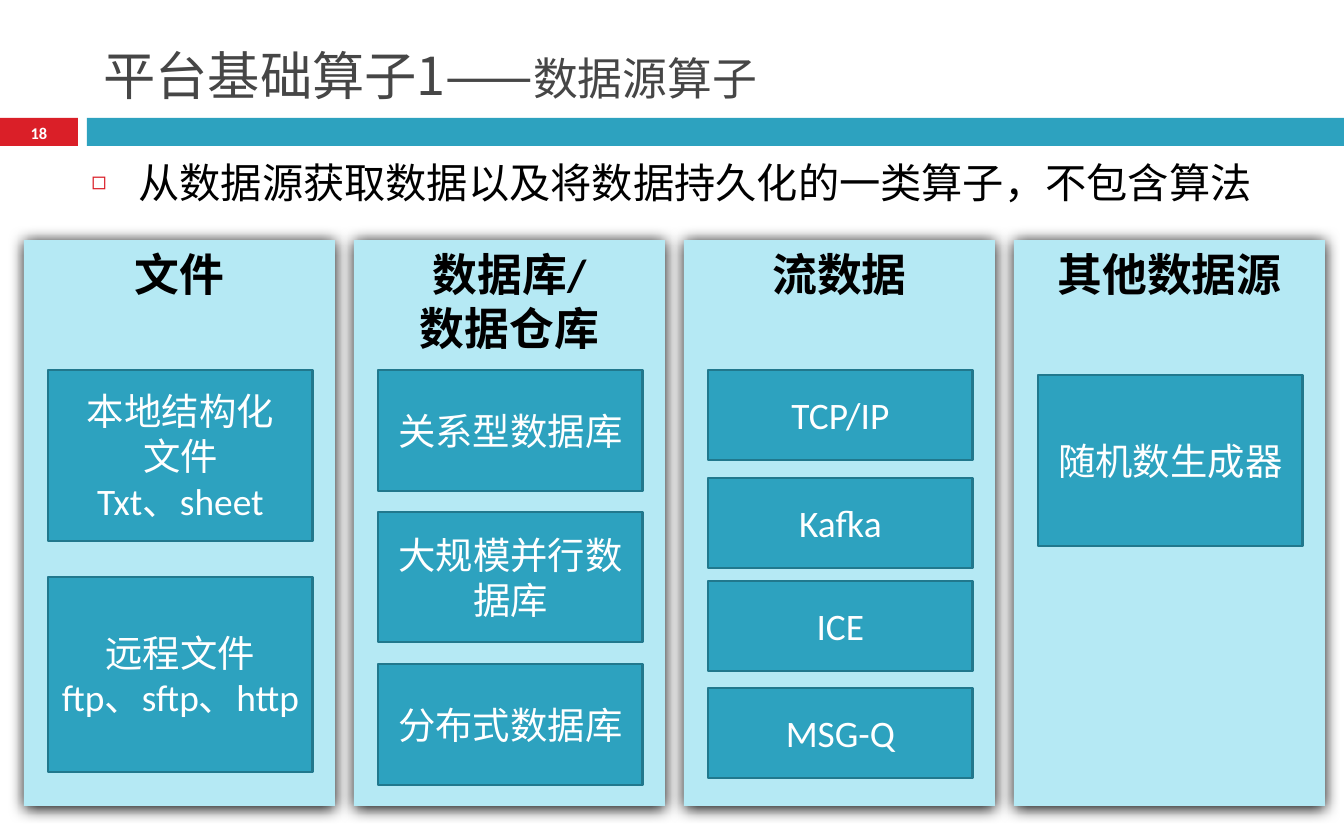
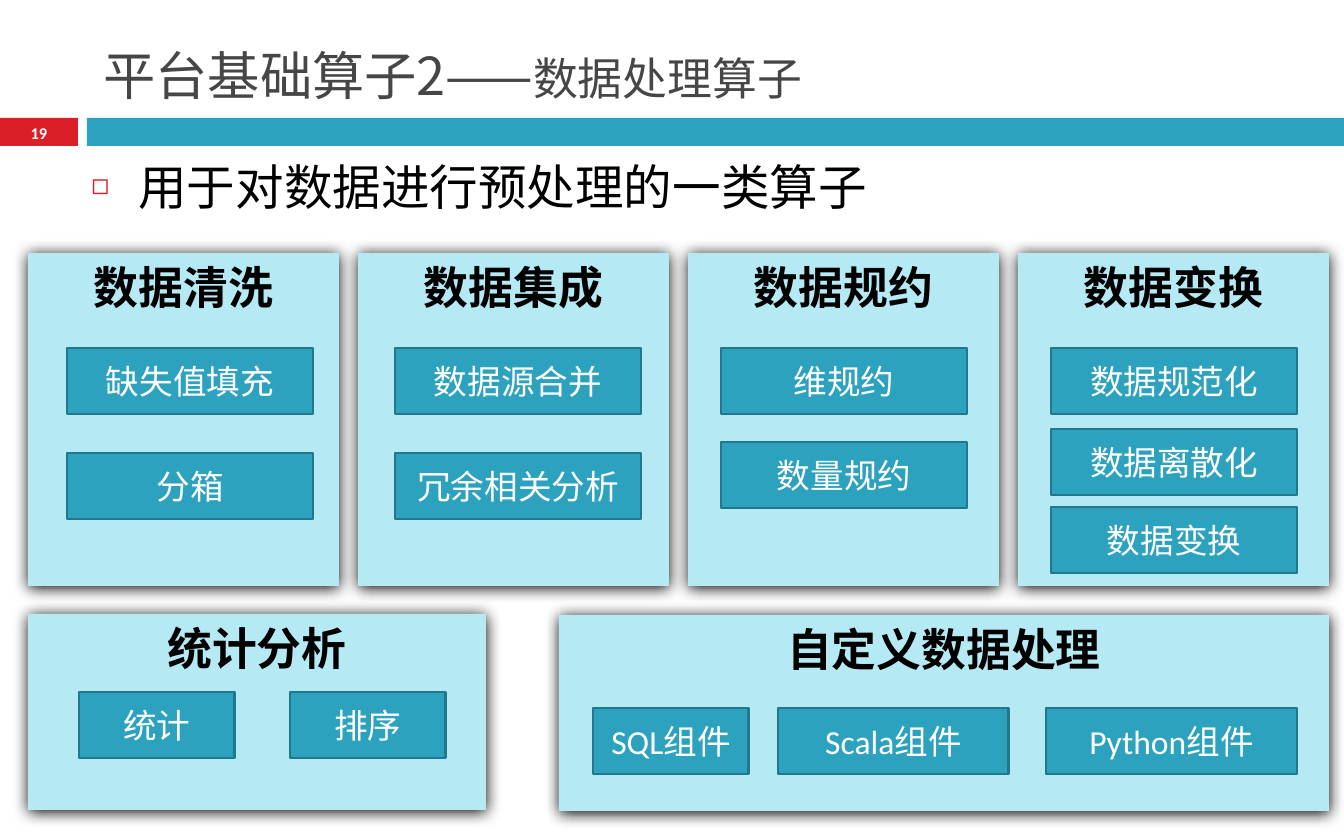
from lxml import etree
from pptx import Presentation
from pptx import util as u
from pptx.dml.color import RGBColor
from pptx.enum import shapes, text
from pptx.oxml.ns import qn

RED = RGBColor(0xDA, 0x1F, 0x28)
TEAL = RGBColor(0x2D, 0xA2, 0xBF)
DARK_TEAL = RGBColor(0x21, 0x78, 0x8D)
PALE_TEAL = RGBColor(0xB5, 0xE9, 0xF4)
GREY = RGBColor(0x46, 0x46, 0x46)
BLACK = RGBColor(0, 0, 0)
WHITE = RGBColor(0xFF, 0xFF, 0xFF)
LATIN_FONT = "Calibri"
CHINESE_FONT = "Noto Sans CJK SC"

PX_PER_INCH = 134.4
SLIDE_SIZE = (1344, 840)
TITLE_BOX = (90, 19, 1199, 94)
BODY_BOX = (78, 150, 1199, 77)
NUMBER_BOX = (0, 118, 78, 29)
BANDS = [((0, 118, 78, 28), RED), ((87, 118, 1257, 28), TEAL)]
BULLET_INDENT = 47
COLUMN_PITCH, COLUMN_WIDTH = 330, 311

SOURCE_COLUMNS = [
    ("文件", 24, [(370, 171, "本地结构化\n文件\nTxt、sheet"), (577, 195, "远程文件\nftp、sftp、http")]),
    ("数据库/\n数据仓库", 24, [(370, 121, "关系型数据库"), (512, 130, "大规模并行数据库"),
                        (664, 121, "分布式数据库")]),
    ("流数据", 24, [(370, 90, "TCP/IP"), (478, 90, "Kafka"), (581, 90, "ICE"), (688, 90, "MSG-Q")]),
    ("其他数据源", 24, [(375, 171, "随机数生成器")]),
]
PROCESS_COLUMNS = [
    ("数据清洗", 39, [(348, 66, "缺失值填充"), (453, 66, "分箱")]),
    ("数据集成", 37, [(348, 66, "数据源合并"), (453, 66, "冗余相关分析")]),
    ("数据规约", 33, [(348, 66, "维规约"), (442, 66, "数量规约")]),
    ("数据变换", 33, [(348, 66, "数据规范化"), (429, 66, "数据离散化"), (507, 66, "数据变换")]),
]
PROCESS_ROW = [
    ("统计分析", (28, 614, 458, 196),
     [((79, 692, 156, 66), "统计"), ((290, 692, 156, 66), "排序")]),
    ("自定义数据处理", (559, 615, 770, 196),
     [((593, 708, 156, 66), "SQL组件"), ((778, 708, 231, 66), "Scala组件"),
      ((1046, 708, 251, 66), "Python组件")]),
]


def column_cards(columns, left, top, height, item_width):
    cards = []
    for index, (heading, inset, items) in enumerate(columns):
        card_left = left + index * COLUMN_PITCH
        boxes = [((card_left + inset, item_top, item_width, item_height), label)
                 for item_top, item_height, label in items]
        cards.append((heading, (card_left, top, COLUMN_WIDTH, height), boxes))
    return cards


SLIDES = [
    dict(number="18", title="平台基础算子1——", subtitle="数据源算子",
         body="从数据源获取数据以及将数据持久化的一类算子，不包含算法", body_size=22.1, item_size=20,
         cards=column_cards(SOURCE_COLUMNS, 24, 240, 566, 265)),
    dict(number="19", title="平台基础算子2——", subtitle="数据处理算子",
         body="用于对数据进行预处理的一类算子", body_size=26, item_size=18,
         cards=column_cards(PROCESS_COLUMNS, 28, 253, 333, 246) + PROCESS_ROW),
]


def px(length):
    return u.Emu(round(length * 914400 / PX_PER_INCH))


def place(shape, box):
    shape.left, shape.top, shape.width, shape.height = map(px, box)


def add_text(paragraph, words, size, color, font=LATIN_FONT, bold=False, align=text.PP_ALIGN.CENTER):
    paragraph.alignment = align
    run = paragraph.add_run()
    run.text = words
    run.font.size = u.Pt(size)
    run.font.bold = bold
    run.font.color.rgb = color
    run.font.name = font
    etree.SubElement(run._r.get_or_add_rPr(), qn("a:ea"), typeface=CHINESE_FONT)


def set_frame(shape, anchor):
    frame = shape.text_frame
    frame.word_wrap = True
    frame.auto_size = text.MSO_AUTO_SIZE.NONE
    frame.vertical_anchor = anchor
    return frame


def add_lines(shape, words, anchor=text.MSO_ANCHOR.MIDDLE, **style):
    frame = set_frame(shape, anchor)
    for index, line in enumerate(words.split("\n")):
        paragraph = frame.add_paragraph() if index else frame.paragraphs[0]
        add_text(paragraph, line, **style)


def add_box(slide, box, fill, line=None):
    shape = slide.shapes.add_shape(shapes.MSO_SHAPE.RECTANGLE, *map(px, box))
    shape.shadow.inherit = False
    shape.fill.solid()
    shape.fill.fore_color.rgb = fill
    if line is None:
        shape.line.fill.background()
    else:
        shape.line.color.rgb = line
        shape.line.width = u.Pt(1.5)
    return shape


def add_shadow(shape):
    effects = shape.element.spPr.find(qn("a:effectLst"))
    shadow = etree.SubElement(effects, qn("a:outerShdw"), blurRad=str(u.Pt(8.5)), dist=str(u.Pt(1)),
                              dir="5400000", algn="ctr", rotWithShape="0")
    etree.SubElement(shadow, qn("a:srgbClr"), val=str(BLACK))


def add_bullet(paragraph):
    properties = paragraph._p.get_or_add_pPr()
    properties.set("marL", str(px(BULLET_INDENT)))
    properties.set("indent", str(-px(BULLET_INDENT)))
    color = etree.SubElement(properties, qn("a:buClr"))
    etree.SubElement(color, qn("a:srgbClr"), val=str(RED))
    etree.SubElement(properties, qn("a:buSzPct"), val="60000")
    etree.SubElement(properties, qn("a:buChar"), char="◻")
    paragraph.space_before = u.Pt(0)


def move_bands_to_layout(slide, layout):
    for index, (box, color) in enumerate(BANDS):
        band = add_box(slide, box, color)
        band.element.nvSpPr.cNvPr.set("id", str(100 + index))
        layout.shapes.element.append(band.element)


def add_header(slide, content):
    title = slide.shapes.title
    place(title, TITLE_BOX)
    paragraph = set_frame(title, text.MSO_ANCHOR.BOTTOM).paragraphs[0]
    for words, size in ((content["title"], 28), (content["subtitle"], 24)):
        add_text(paragraph, words, size, GREY, CHINESE_FONT, align=text.PP_ALIGN.LEFT)

    body = slide.placeholders[1]
    place(body, BODY_BOX)
    paragraph = set_frame(body, text.MSO_ANCHOR.TOP).paragraphs[0]
    add_bullet(paragraph)
    add_text(paragraph, content["body"], content["body_size"], BLACK, CHINESE_FONT,
             align=text.PP_ALIGN.LEFT)

    number = slide.shapes.add_textbox(*map(px, NUMBER_BOX))
    add_lines(number, content["number"], size=8.8, color=WHITE, bold=True)


def add_card(slide, heading, box, items, item_size):
    card = add_box(slide, box, PALE_TEAL)
    add_shadow(card)
    add_lines(card, heading, text.MSO_ANCHOR.TOP, size=24, color=BLACK, bold=True)
    for item_box, label in items:
        item = add_box(slide, item_box, TEAL, DARK_TEAL)
        add_lines(item, label, size=item_size, color=WHITE)


def main():
    presentation = Presentation()
    presentation.slide_width, presentation.slide_height = map(px, SLIDE_SIZE)
    layout = presentation.slide_layouts[1]
    for index, content in enumerate(SLIDES):
        slide = presentation.slides.add_slide(layout)
        if index == 0:
            move_bands_to_layout(slide, layout)
        add_header(slide, content)
        for heading, box, items in content["cards"]:
            add_card(slide, heading, box, items, content["item_size"])
    presentation.save("out.pptx")


if __name__ == "__main__":
    main()
